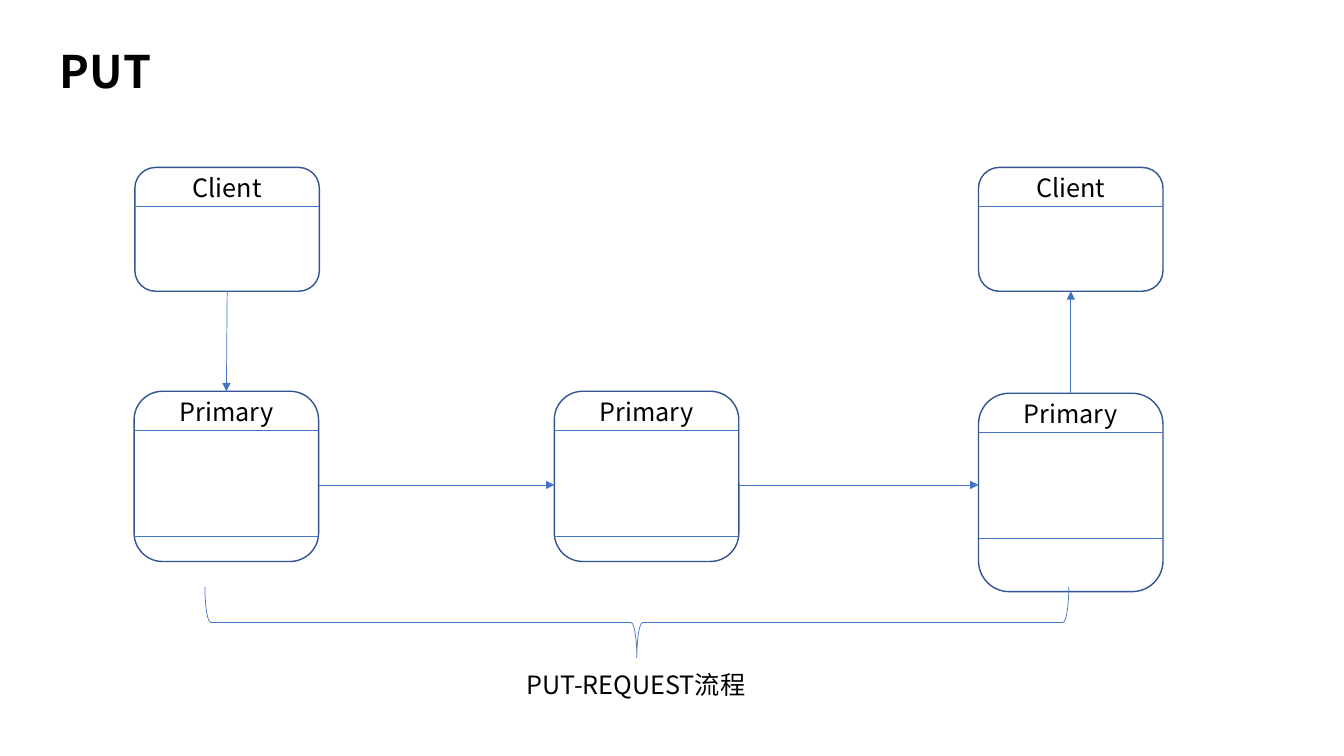
"""Build the PUT request flow slide."""
from pptx import Presentation
from pptx.dml.color import RGBColor
from pptx.enum.shapes import MSO_CONNECTOR as Link, MSO_SHAPE as Shape
from pptx.enum.text import MSO_AUTO_SIZE as Fit, PP_ALIGN as Align
from pptx.oxml.ns import qn
from pptx.util import Cm, Pt
from lxml.etree import SubElement

FONT = "Noto Sans CJK SC"
BLACK = RGBColor(0, 0, 0)
NAVY = RGBColor(0x32, 0x54, 0x91)
BLUE = RGBColor(0x44, 0x72, 0xC4)

WIDE, HEAD, FOOT = 4.65, 0.98, 3.65
LABEL = 1.02
FLOW = 12.22
TOP, BOTTOM = 0, 2

TITLE = ("PUT", 0.97, 0.97, 3.38, 1.63)
CAPTION = ("PUT-REQUEST流程", 13.03, 16.74, 6.07, LABEL)
BRACE = (15.16, 4.8, 1.78, 21.77)
NODES = {
    "sender": ("Client", 3.4, 4.22, 3.12, [HEAD]),
    "receiver": ("Client", 24.66, 4.22, 3.12, [HEAD]),
    "first": ("Primary", 3.38, 9.86, 4.29, [HEAD, FOOT]),
    "second": ("Primary", 13.97, 9.86, 4.29, [HEAD, FOOT]),
    "third": ("Primary", 24.66, 9.91, 5, [HEAD, FOOT]),
}
CALLS = [("sender", BOTTOM, "first", TOP), ("third", TOP, "receiver", BOTTOM)]
HOPS = [("first", "second"), ("second", "third")]


def add_text(slide, words, left, top, width, height, size=18, bold=False, align=Align.CENTER):
    box = slide.shapes.add_textbox(Cm(left), Cm(top), Cm(width), Cm(height))
    frame = box.text_frame
    frame.word_wrap = True
    frame.auto_size = Fit.SHAPE_TO_FIT_TEXT
    para = frame.paragraphs[0]
    para.alignment = align
    run = para.add_run()
    run.text = words
    font = run.font
    font.name, font.size, font.bold = FONT, Pt(size), bold
    font.color.rgb = BLACK
    SubElement(font._element, qn("a:ea")).set("typeface", FONT)


def add_shape(slide, kind, left, top, width, height, color, weight):
    shape = slide.shapes.add_shape(kind, Cm(left), Cm(top), Cm(width), Cm(height))
    shape.shadow.inherit = False
    shape.fill.background()
    shape.line.color.rgb = color
    shape.line.width = Pt(weight)
    return shape


def add_line(slide, x1=0, y1=0, x2=0, y2=0, arrow=False):
    line = slide.shapes.add_connector(Link.STRAIGHT, Cm(x1), Cm(y1), Cm(x2), Cm(y2))
    line.line.color.rgb = BLUE
    line.line.width = Pt(0.5)
    if arrow:
        SubElement(line.line._get_or_add_ln(), qn("a:tailEnd")).set("type", "triangle")
    SubElement(line._element.spPr, qn("a:effectLst"))
    return line


def add_node(slide, name, left, top, height, rules):
    box = add_shape(slide, Shape.ROUNDED_RECTANGLE, left, top, WIDE, height, NAVY, 1)
    add_text(slide, name, left, top, WIDE, LABEL)
    for drop in rules:
        add_line(slide, left, top + drop, left + WIDE, top + drop)
    return box


def main():
    deck = Presentation()
    deck.slide_width, deck.slide_height = Cm(33.87), Cm(19.05)
    slide = deck.slides.add_slide(deck.slide_layouts[6])
    add_text(slide, *TITLE, size=32, bold=True)
    boxes = {key: add_node(slide, *node) for key, node in NODES.items()}
    for start, out, end, into in CALLS:
        line = add_line(slide, arrow=True)
        line.begin_connect(boxes[start], out)
        line.end_connect(boxes[end], into)
    for start, end in HOPS:
        add_line(slide, NODES[start][1] + WIDE, FLOW, NODES[end][1], FLOW, arrow=True)
    brace = add_shape(slide, Shape.LEFT_BRACE, *BRACE, BLUE, 0.5)
    brace.rotation = 270
    add_text(slide, *CAPTION, align=Align.LEFT)
    deck.save("out.pptx")


if __name__ == "__main__":
    main()
